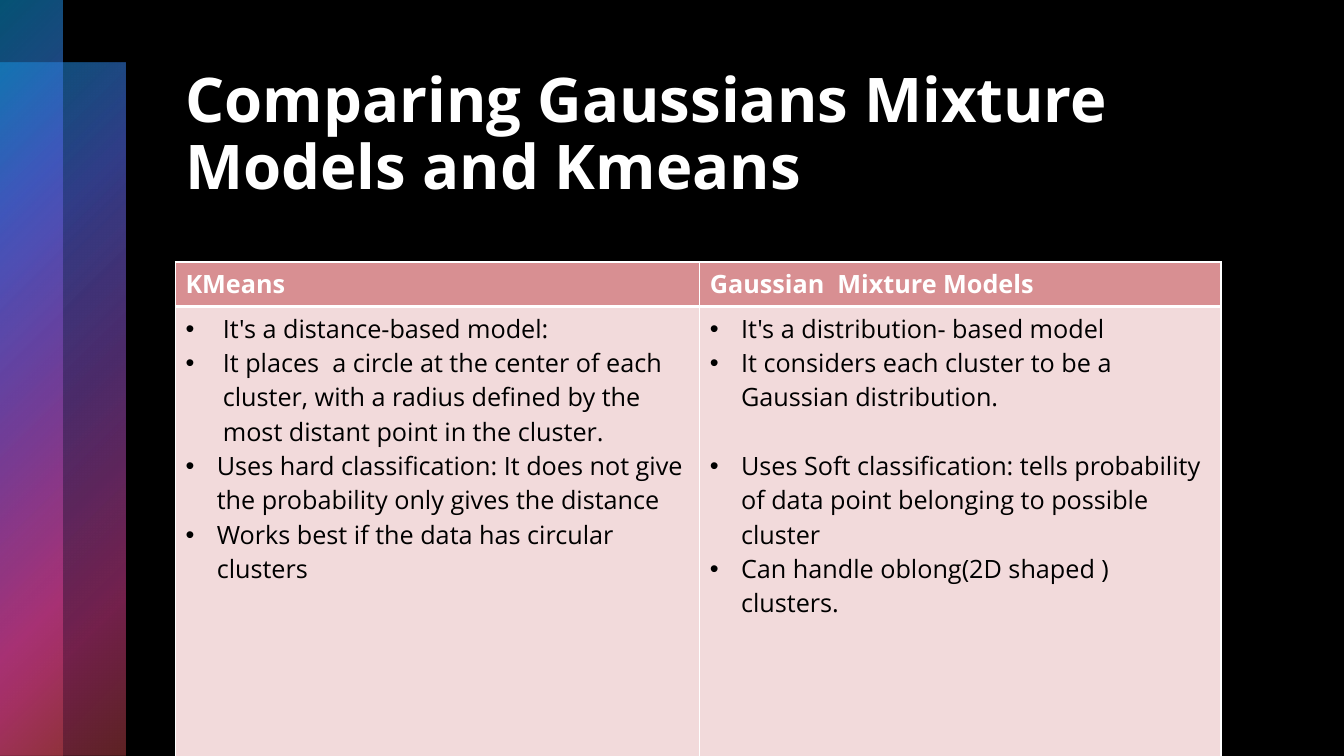
from dataclasses import dataclass

from lxml import etree
from pptx import Presentation
from pptx import oxml
from pptx import util as u
from pptx.dml.color import RGBColor
from pptx.enum import shapes, text
from pptx.oxml import ns

BLACK = RGBColor(0x00, 0x00, 0x00)
WHITE = RGBColor(0xFF, 0xFF, 0xFF)
ROSE = RGBColor(0xD8, 0x8F, 0x92)
BLUSH = RGBColor(0xF2, 0xDA, 0xDB)
FONT = "Open Sans"
SPECTRUM = [  # position %, colour, opacity %
    (0, RGBColor(0x0B, 0xA5, 0xE8), 50),
    (25, RGBColor(0x50, 0x66, 0xE1), 60),
    (50, RGBColor(0x89, 0x4E, 0xC0), 55),
    (81, RGBColor(0xE5, 0x41, 0x96), 50),
    (99, RGBColor(0xBE, 0x44, 0x49), 50),
]
BAR = 0.62
HEADER_HEIGHT = 0.43
TABLE_TOP = 2.6
SLIDE_HEIGHT = 7.5


@dataclass
class Point:
    wording: str
    indent: float = 0.31
    space_before: float = 0


@dataclass
class Model:
    name: str
    width: float
    points: list[Point]


MODELS = [
    Model("KMeans", 5.2, [
        Point("It's a distance-based model:", indent=0.37),
        Point("It places  a circle at the center of each cluster, with a radius "
              "defined by the most distant point in the cluster.", indent=0.37),
        Point("Uses hard classification: It does not give the probability only "
              "gives the distance"),
        Point("Works best if the data has circular clusters"),
    ]),
    Model("Gaussian  Mixture Models", 5.17, [
        Point("It's a distribution- based model"),
        Point("It considers each cluster to be a Gaussian distribution."),
        Point("Uses Soft classification: tells probability of data point "
              "belonging to possible cluster", space_before=24.5),
        Point("Can handle oblong(2D shaped ) clusters."),
    ]),
]


def set_font(font, size: float, color: RGBColor, bold: bool) -> None:
    for key, value in {"name": FONT, "size": u.Pt(size), "bold": bold}.items():
        setattr(font, key, value)
    font.color.rgb = color


def add_spectrum_bar(slide, top: float, width: float) -> None:
    """Add a translucent bar on the left edge, coloured outwards from its top left."""
    bar = slide.shapes.add_shape(
        shapes.MSO_SHAPE.RECTANGLE, 0, u.Inches(top),
        u.Inches(width), u.Inches(SLIDE_HEIGHT - top))
    bar.shadow.inherit = False
    bar.line.fill.background()
    stops = "".join(
        f'<a:gs pos="{position * 1000}"><a:srgbClr val="{color}">'
        f'<a:alpha val="{opacity * 1000}"/></a:srgbClr></a:gs>'
        for position, color, opacity in SPECTRUM)
    gradient = oxml.parse_xml(
        f'<a:gradFill {ns.nsdecls("a")}><a:gsLst>{stops}</a:gsLst>'
        '<a:path path="circle"><a:fillToRect r="100000" b="100000"/></a:path>'
        '</a:gradFill>')
    bar._element.spPr.find(ns.qn("a:prstGeom")).addnext(gradient)


def style_cell(cell, color: RGBColor, bottom_width: float) -> None:
    """Fill a cell and give it white borders."""
    properties = cell._tc.get_or_add_tcPr()
    for edge, width in {"L": 1, "R": 1, "T": 1, "B": bottom_width}.items():
        properties.append(oxml.parse_xml(
            f'<a:ln{edge} {ns.nsdecls("a")} w="{u.Pt(width)}"><a:solidFill>'
            f'<a:srgbClr val="{WHITE}"/></a:solidFill></a:ln{edge}>'))
    cell.fill.solid()
    cell.fill.fore_color.rgb = color


def write_point(paragraph, point: Point) -> None:
    paragraph.text = point.wording
    paragraph.space_before = u.Pt(point.space_before)
    set_font(paragraph.runs[0].font, 18, BLACK, False)
    properties = paragraph._p.get_or_add_pPr()
    properties.set("marL", str(u.Inches(point.indent)))
    properties.set("indent", str(-u.Inches(point.indent)))
    etree.SubElement(properties, ns.qn("a:buFont"), typeface="Arial")
    etree.SubElement(properties, ns.qn("a:buChar"), char="•")


def add_title(slide) -> None:
    title = slide.shapes.title
    place = {"left": 1.74, "top": 0.5, "width": 10.37, "height": 1.7}
    for key, value in place.items():
        setattr(title, key, u.Inches(value))
    frame = title.text_frame
    frame.text = "Comparing Gaussians Mixture Models and Kmeans"
    frame.vertical_anchor = text.MSO_ANCHOR.MIDDLE
    frame.auto_size = text.MSO_AUTO_SIZE.NONE
    heading = frame.paragraphs[0]
    heading.alignment = text.PP_ALIGN.LEFT
    heading.line_spacing = 0.9
    set_font(heading.runs[0].font, 44, WHITE, True)


def add_comparison(slide) -> None:
    height = SLIDE_HEIGHT - TABLE_TOP
    comparison = slide.shapes.add_table(
        2, len(MODELS), u.Inches(1.74), u.Inches(TABLE_TOP),
        u.Inches(sum(model.width for model in MODELS)), u.Inches(height)).table
    comparison.rows[0].height = u.Inches(HEADER_HEIGHT)
    comparison.rows[1].height = u.Inches(height - HEADER_HEIGHT)
    for column, model in enumerate(MODELS):
        comparison.columns[column].width = u.Inches(model.width)
        header, body = comparison.cell(0, column), comparison.cell(1, column)
        style_cell(header, ROSE, 3)
        style_cell(body, BLUSH, 1)
        header.text = model.name
        set_font(header.text_frame.paragraphs[0].runs[0].font, 18, WHITE, True)
        frame = body.text_frame
        for number, point in enumerate(model.points):
            write_point(frame.add_paragraph() if number else frame.paragraphs[0], point)


def main() -> None:
    deck = Presentation()
    deck.slide_width, deck.slide_height = u.Inches(13.33), u.Inches(SLIDE_HEIGHT)
    slide = deck.slides.add_slide(deck.slide_layouts[5])
    slide.background.fill.solid()
    slide.background.fill.fore_color.rgb = BLACK
    add_spectrum_bar(slide, BAR, 2 * BAR)
    add_spectrum_bar(slide, 0, BAR)
    add_title(slide)
    add_comparison(slide)
    deck.save("out.pptx")


if __name__ == "__main__":
    main()
